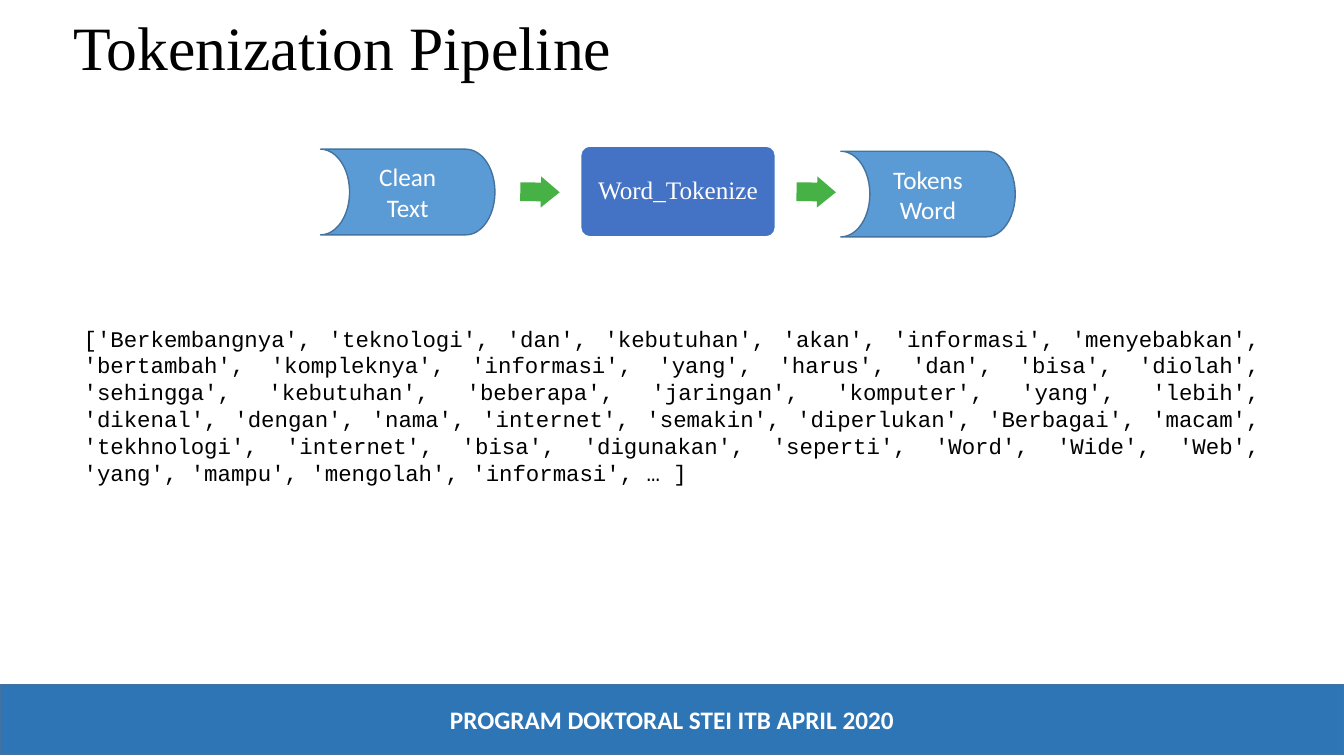
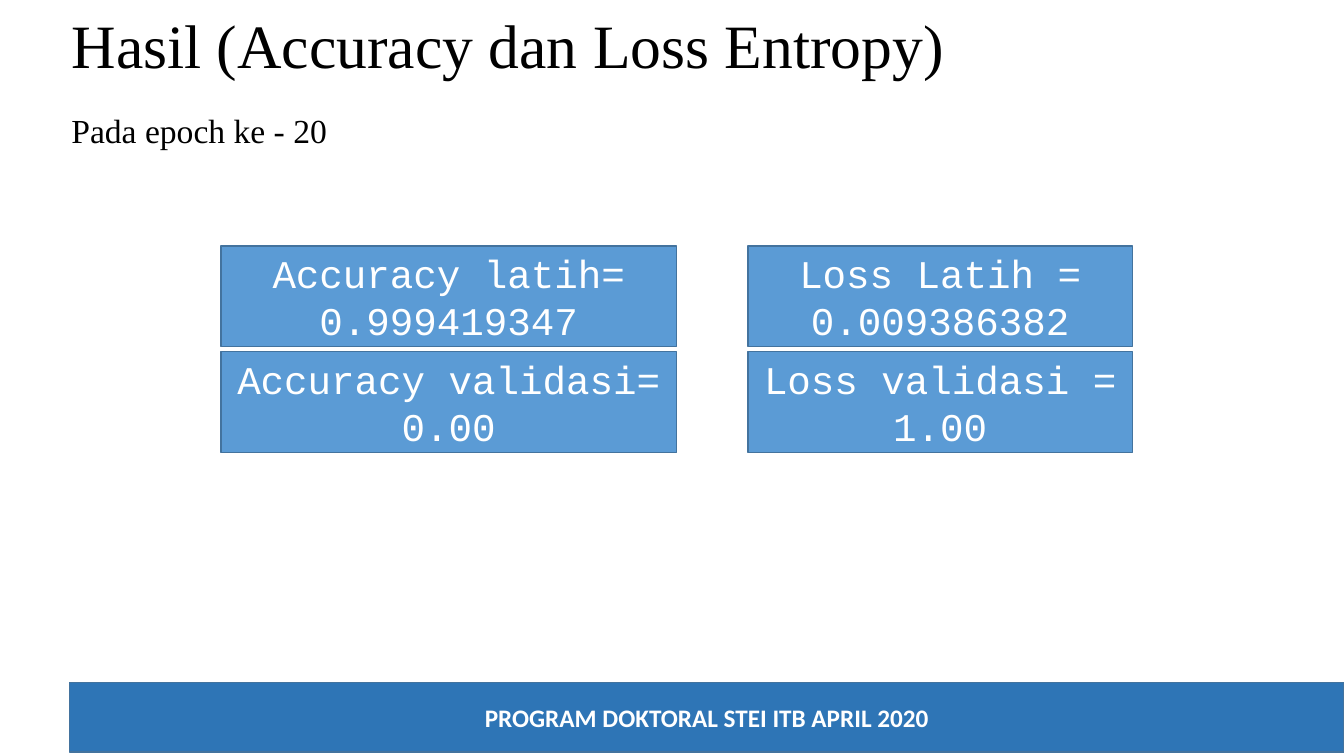
"""Builds two slides: a tokenization pipeline and the training results."""
from pptx import Presentation
from pptx.dml.color import RGBColor
from pptx.enum.shapes import MSO_SHAPE
from pptx.enum.text import MSO_ANCHOR, MSO_AUTO_SIZE, PP_ALIGN
from pptx.util import Inches, Pt

RECTANGLE, ROUNDED = MSO_SHAPE.RECTANGLE, MSO_SHAPE.ROUNDED_RECTANGLE
STORAGE, ARROW = MSO_SHAPE.FLOWCHART_STORED_DATA, MSO_SHAPE.RIGHT_ARROW
LEFT, CENTER, JUSTIFY = PP_ALIGN.LEFT, PP_ALIGN.CENTER, PP_ALIGN.JUSTIFY
MIDDLE, NO_FIT = MSO_ANCHOR.MIDDLE, MSO_AUTO_SIZE.NONE

SERIF, SANS, MONO = "Times New Roman", "Calibri", "Courier New"
BLACK, WHITE = "000000", "FFFFFF"
BLUE, DARK_BLUE, INDIGO = "5B9BD5", "43739E", "4472C4"
BAND_BLUE, GREEN = "2E75B6", "46B246"

SLIDE_WIDTH, SLIDE_HEIGHT = 13.33, 7.5
FOOTER = "PROGRAM DOKTORAL STEI ITB APRIL 2020"

STORES = [("Clean Text", 3.18, 1.48), ("Tokens Word", 8.34, 1.5)]
ARROW_LEFTS = [5.16, 7.9]
TOKENS = (
    "Berkembangnya teknologi dan kebutuhan akan informasi menyebabkan "
    "bertambah kompleknya informasi yang harus dan bisa diolah sehingga "
    "kebutuhan beberapa jaringan komputer yang lebih dikenal dengan nama "
    "internet semakin diperlukan Berbagai macam tekhnologi internet bisa "
    "digunakan seperti Word Wide Web yang mampu mengolah informasi"
).split()

RESULT_COLUMNS = [
    (2.19, 4.52, ["Accuracy latih= 0.999419347", "Accuracy validasi= 0.00"]),
    (7.42, 3.81, ["Loss Latih = 0.009386382", "Loss validasi = 1.00"]),
]
RESULT_TOP, RESULT_HEIGHT, RESULT_STEP = 2.44, 1, 1.05


def color(value):
    """Turn a hex string into a colour."""
    return RGBColor.from_string(value)


def write(shape, text, size, font, ink=WHITE, align=CENTER, bold=False, spacing=1.0):
    """Put one formatted paragraph into a shape, centred vertically."""
    frame = shape.text_frame
    frame.text = text
    frame.word_wrap = True
    frame.auto_size = NO_FIT
    frame.vertical_anchor = MIDDLE
    para = frame.paragraphs[0]
    para.alignment = align
    para.line_spacing = spacing
    para.font.size = Pt(size)
    para.font.name = font
    para.font.bold = bold
    para.font.color.rgb = color(ink)


def add_box(page, kind, bounds, fill, outline=None):
    """Add a filled shape without shadow."""
    box = page.shapes.add_shape(kind, *map(Inches, bounds))
    box.shadow.inherit = False
    box.fill.solid()
    box.fill.fore_color.rgb = color(fill)
    if outline:
        box.line.color.rgb = color(outline)
        box.line.width = Pt(1)
    else:
        box.line.fill.background()
    return box


def add_page(deck, title, title_left, title_height, band_left, band_top):
    """Add a slide with its title and footer band."""
    page = deck.slides.add_slide(deck.slide_layouts[5])
    heading = page.shapes.title
    heading.left, heading.top = Inches(title_left), Inches(0)
    heading.width, heading.height = Inches(11.5), Inches(title_height)
    write(heading, title, 44, SERIF, BLACK, LEFT, spacing=0.9)
    bounds = (band_left, band_top, SLIDE_WIDTH - band_left, 0.69)
    band = add_box(page, RECTANGLE, bounds, BAND_BLUE, DARK_BLUE)
    write(band, FOOTER, 18, SANS, bold=True)
    return page


def add_pipeline(deck):
    """Show how clean text becomes tokens."""
    page = add_page(deck, "Tokenization Pipeline", 0.63, 1, 0, 6.79)
    for label, left, top in STORES:
        store = add_box(page, STORAGE, (left, top, 1.73, 0.85), BLUE, DARK_BLUE)
        store._element.spPr.xfrm.set("flipH", "1")
        write(store, label, 18, SANS)
    step = add_box(page, ROUNDED, (5.76, 1.45, 1.93, 0.9), INDIGO, WHITE)
    step.adjustments[0] = 0.1
    write(step, "Word_Tokenize", 18, SERIF, spacing=0.9)
    for left in ARROW_LEFTS:
        arrow = add_box(page, ARROW, (left, 1.75, 0.39, 0.31), GREEN)
        arrow.adjustments[0] = arrow.adjustments[1] = 0.6
        arrow.rotation = 0.9

    listing = add_box(page, RECTANGLE, (0.83, 3.21, 11.67, 1.62), WHITE)
    frame = listing.text_frame
    frame.margin_left = frame.margin_right = Inches(0)
    frame.margin_top = frame.margin_bottom = Inches(0)
    quoted = ", ".join(f"'{token}'" for token in TOKENS)
    write(listing, f"[{quoted}, … ]", 16, MONO, BLACK, JUSTIFY)


def add_results(deck):
    """Show accuracy and loss for training and validation."""
    page = add_page(deck, "Hasil (Accuracy dan Loss Entropy)", 0.61, 0.97, 0.69, 6.77)
    caption = page.shapes.add_textbox(*map(Inches, (0.61, 1.04, 2.76, 0.5)))
    write(caption, "Pada epoch ke - 20", 24, SERIF, BLACK, LEFT)
    for left, width, labels in RESULT_COLUMNS:
        for row, label in enumerate(labels):
            top = RESULT_TOP + row * RESULT_STEP
            bounds = (left, top, width, RESULT_HEIGHT)
            write(add_box(page, RECTANGLE, bounds, BLUE, DARK_BLUE), label, 28, MONO)


def main():
    """Build and save the deck."""
    deck = Presentation()
    deck.slide_width, deck.slide_height = Inches(SLIDE_WIDTH), Inches(SLIDE_HEIGHT)
    add_pipeline(deck)
    add_results(deck)
    deck.save("out.pptx")


if __name__ == "__main__":
    main()
